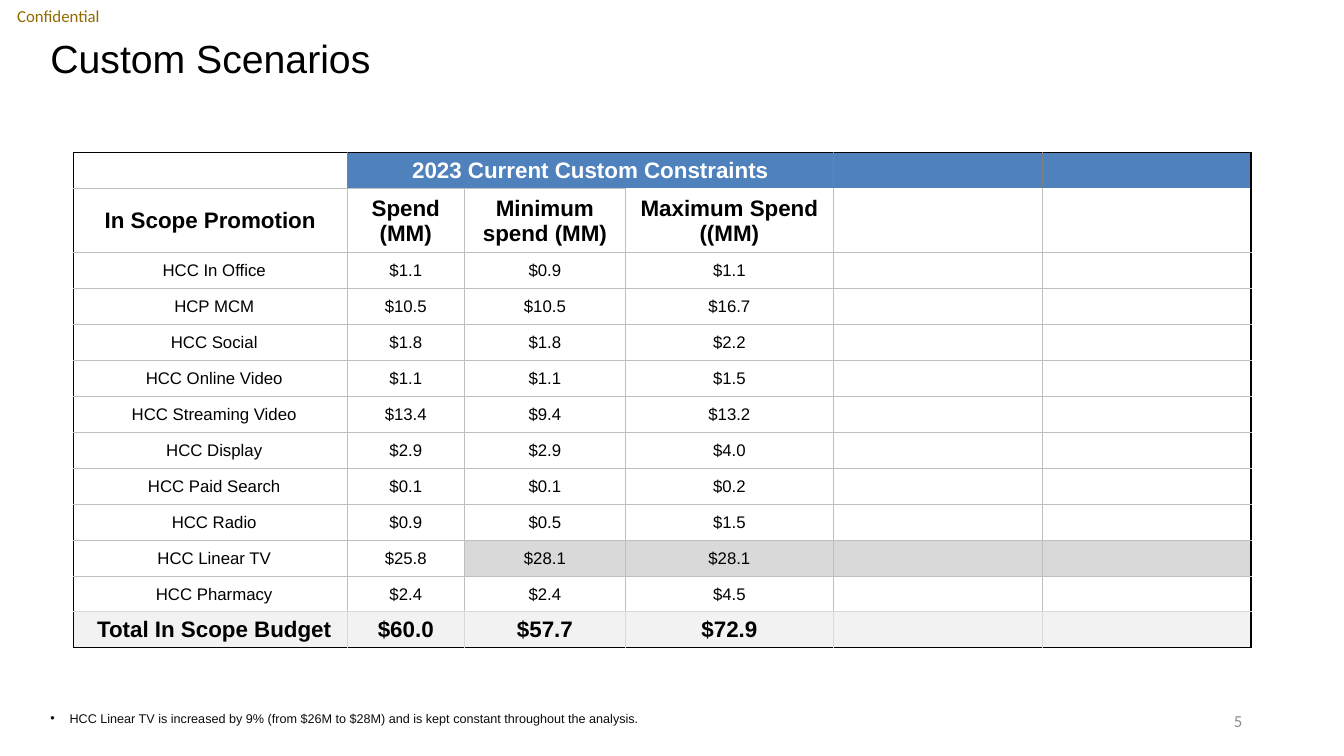
"""Build the Custom Scenarios slide with its table of spend constraints."""
from dataclasses import dataclass
from typing import Optional

from lxml.etree import SubElement
from pptx import Presentation
from pptx.dml.color import RGBColor
from pptx.enum.text import MSO_ANCHOR as Anchor, MSO_AUTO_SIZE as AutoSize, PP_ALIGN as Align
from pptx.oxml.ns import qn
from pptx.util import Inches, Pt

BLACK, WHITE, BLUE = "000000", "FFFFFF", "4F81BD"
GRID, HEADER_GRID, TOTAL_GRID = "BFBFBF", "808080", "D9D9D9"
HELD, TOTAL_FILL = "D9D9D9", "F2F2F2"

COLUMN_WIDTHS = [2.71, 1.17, 1.59, 2.07, 2.07, 2.07]
TABLE_HEIGHT, HEADING_HEIGHT = 4.92, 0.64


@dataclass(frozen=True)
class BudgetRow:
    texts: tuple[str, ...]
    size: int = 12
    bold: bool = False
    color: str = BLACK
    fill: Optional[str] = None
    fill_from: int = 0
    first_inset: float = 0.09


BUDGET_ROWS = [
    BudgetRow(("", "2023 Current Custom Constraints"), 16, True, WHITE, BLUE, 1),
    BudgetRow(("In Scope Promotion", "Spend (MM)", "Minimum spend (MM)", "Maximum Spend ((MM)"),
              16, True, first_inset=0.01),
    BudgetRow(("HCC In Office", "$1.1", "$0.9", "$1.1")),
    BudgetRow(("HCP MCM", "$10.5", "$10.5", "$16.7")),
    BudgetRow(("HCC Social", "$1.8", "$1.8", "$2.2")),
    BudgetRow(("HCC Online Video", "$1.1", "$1.1", "$1.5")),
    BudgetRow(("HCC Streaming Video", "$13.4", "$9.4", "$13.2")),
    BudgetRow(("HCC Display", "$2.9", "$2.9", "$4.0")),
    BudgetRow(("HCC Paid Search", "$0.1", "$0.1", "$0.2")),
    BudgetRow(("HCC Radio", "$0.9", "$0.5", "$1.5")),
    BudgetRow(("HCC Linear TV", "$25.8", "$28.1", "$28.1"), fill=HELD, fill_from=2),
    BudgetRow(("HCC Pharmacy", "$2.4", "$2.4", "$4.5")),
    BudgetRow(("Total In Scope Budget", "$60.0", "$57.7", "$72.9"), 16, True, fill=TOTAL_FILL),
]
LAST_ROW, LAST_COLUMN = len(BUDGET_ROWS) - 1, len(COLUMN_WIDTHS) - 1


def rgb(color: str) -> RGBColor:
    return RGBColor.from_string(color)


def write(frame, text: str, *, size: float, color: str = BLACK, font: str = "Arial",
          bold: bool = False, align=Align.LEFT, anchor=None, line_spacing: float = 1.0,
          bullet: bool = False) -> None:
    frame.word_wrap = True
    if anchor is not None:
        frame.vertical_anchor = anchor
    paragraph = frame.paragraphs[0]
    paragraph.alignment = align
    paragraph.line_spacing = line_spacing
    paragraph.space_before = Pt(0)
    if bullet:
        properties = paragraph._p.get_or_add_pPr()
        properties.set("marL", str(Inches(0.19)))
        properties.set("indent", str(Inches(-0.19)))
        SubElement(properties, qn("a:buFont"), typeface="Arial")
        SubElement(properties, qn("a:buChar"), char="•")
    run = paragraph.add_run()
    run.text = text
    run.font.name, run.font.size, run.font.bold = font, Pt(size), bold
    run.font.color.rgb = rgb(color)


def place(shape, left: float, top: float, width: float, height: float) -> None:
    shape.left, shape.top = Inches(left), Inches(top)
    shape.width, shape.height = Inches(width), Inches(height)


def add_label(slide, box: tuple[float, ...], text: str, **style):
    label = slide.shapes.add_textbox(*map(Inches, box)).text_frame
    write(label, text, font="Calibri", size=12, anchor=Anchor.MIDDLE, **style)
    return label


def vertical_line(row: int, edge: int) -> tuple[str, float]:
    if edge in (0, LAST_COLUMN + 1):
        return BLACK, 1
    return {0: HEADER_GRID, LAST_ROW: TOTAL_GRID}.get(row, GRID), 0.5


def horizontal_line(edge: int, column: int) -> Optional[tuple[str, float]]:
    if edge in (0, LAST_ROW + 1):
        return BLACK, 1
    if edge == 1 and column > 2:
        return None
    return (TOTAL_GRID if edge == LAST_ROW else GRID), 0.5


def draw_borders(cell, row: int, column: int, span: int) -> None:
    sides = {"L": vertical_line(row, column), "R": vertical_line(row, column + span),
             "T": horizontal_line(row, column), "B": horizontal_line(row + 1, column)}
    properties = cell._tc.get_or_add_tcPr()
    for position, (side, line) in enumerate(sides.items()):
        border = SubElement(properties, qn(f"a:ln{side}"))
        if line:
            color, points = line
            border.set("w", str(Pt(points)))
            SubElement(SubElement(border, qn("a:solidFill")), qn("a:srgbClr"), val=color)
        else:
            SubElement(border, qn("a:noFill"))
        properties.insert(position, border)


def format_cell(cell, budget: BudgetRow, row: int, column: int) -> None:
    cell.margin_left = Inches(budget.first_inset if column == 0 else 0.01)
    cell.margin_right = cell.margin_top = Inches(0.01)
    cell.margin_bottom = 0
    cell.vertical_anchor = Anchor.MIDDLE
    if budget.fill and column >= budget.fill_from:
        cell.fill.solid()
        cell.fill.fore_color.rgb = rgb(budget.fill)
    else:
        cell.fill.background()
    if column < len(budget.texts) and budget.texts[column]:
        write(cell.text_frame, budget.texts[column], size=budget.size, bold=budget.bold,
              color=budget.color, align=Align.CENTER)
    if not cell.is_spanned:
        draw_borders(cell, row, column, cell.span_width if cell.is_merge_origin else 1)


def add_constraints(slide) -> None:
    box = map(Inches, (0.73, 1.51, sum(COLUMN_WIDTHS), TABLE_HEIGHT))
    constraints = slide.shapes.add_table(LAST_ROW + 1, LAST_COLUMN + 1, *box).table
    constraints.first_row = constraints.horz_banding = False
    for column, width in zip(constraints.columns, COLUMN_WIDTHS):
        column.width = Inches(width)
    for row in constraints.rows:
        row.height = Inches((TABLE_HEIGHT - HEADING_HEIGHT) / LAST_ROW)
    constraints.rows[1].height = Inches(HEADING_HEIGHT)
    constraints.cell(0, 1).merge(constraints.cell(0, 3))
    for row, budget in enumerate(BUDGET_ROWS):
        for column in range(LAST_COLUMN + 1):
            format_cell(constraints.cell(row, column), budget, row, column)


def main() -> None:
    deck = Presentation()
    deck.slide_width, deck.slide_height = Inches(13.33), Inches(7.5)
    slide = deck.slides.add_slide(deck.slide_layouts[1])

    confidential = add_label(slide, (0, 0, 1.17, 0.32), "Confidential", color="8E6A00")
    confidential.margin_left = Inches(0.17)
    confidential.margin_right = confidential.margin_top = confidential.margin_bottom = 0

    heading, footnote = slide.placeholders
    place(heading, 0.4, 0.4, 12, 0.4)
    heading.text_frame.auto_size = AutoSize.NONE
    write(heading.text_frame, "Custom Scenarios", size=28, anchor=Anchor.MIDDLE, line_spacing=0.9)

    add_label(slide, (9.42, 6.95, 3, 0.4), "5", color="8C8C8C", align=Align.RIGHT)
    add_constraints(slide)

    place(footnote, 0.4, 7, 12, 0.25)
    footnote.text_frame.auto_size = AutoSize.NONE
    write(footnote.text_frame,
          "HCC Linear TV is increased by 9% (from $26M to $28M) "
          "and is kept constant throughout the analysis.",
          size=9, color="0D0D0D", anchor=Anchor.TOP, bullet=True)

    deck.save("out.pptx")


if __name__ == "__main__":
    main()
